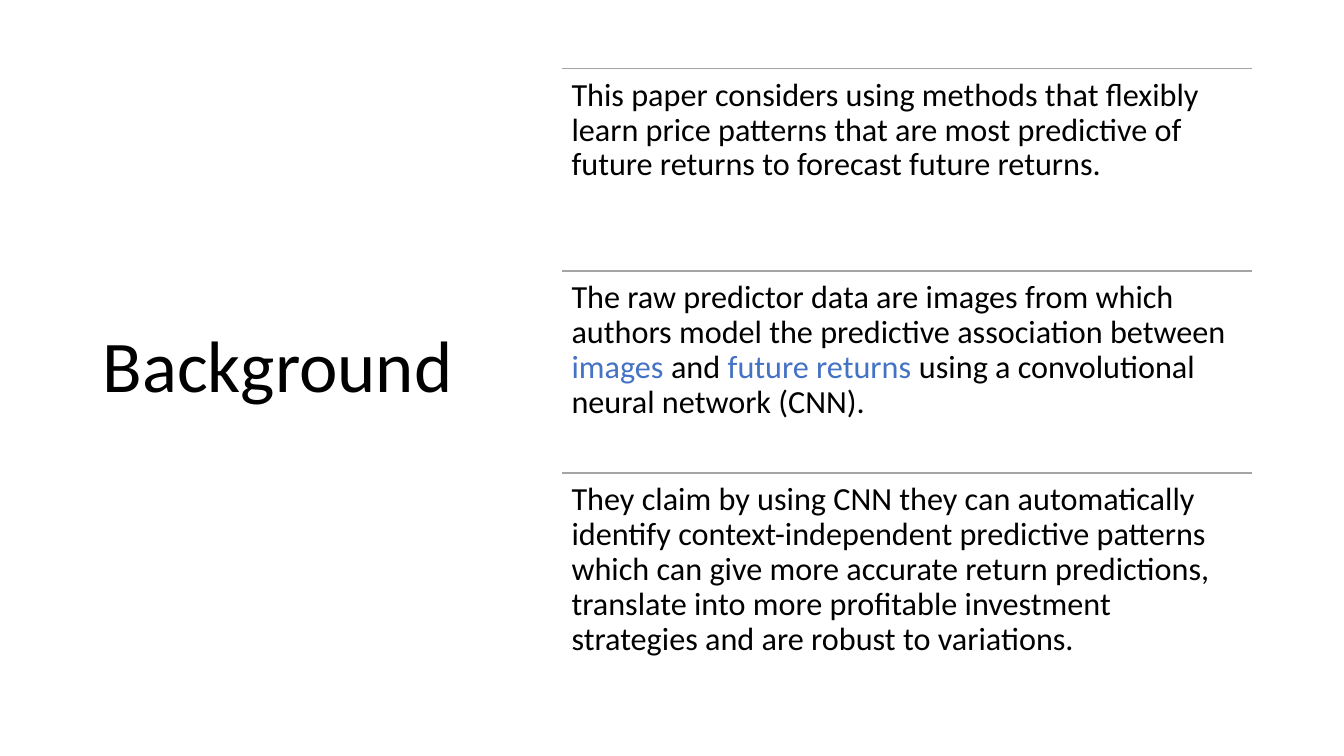
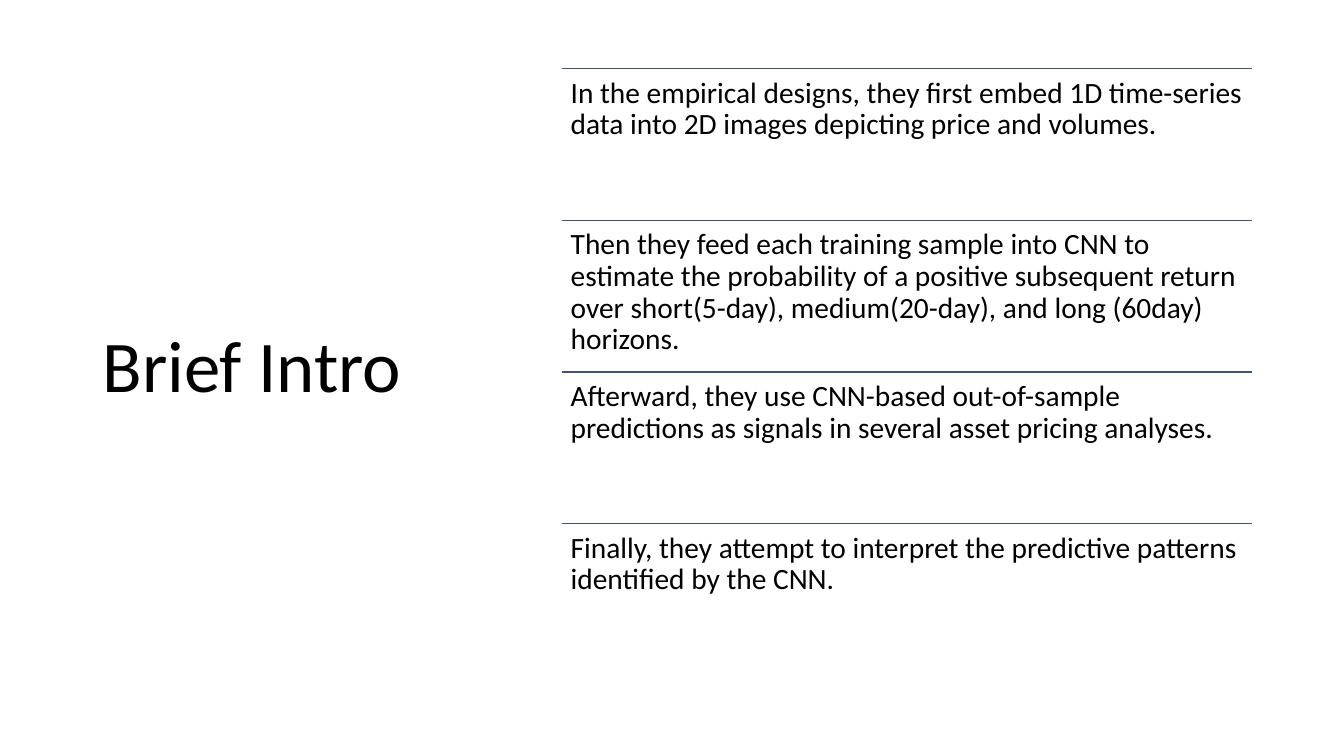
from lxml import etree
from pptx import Presentation
from pptx import util as u
from pptx.dml.color import RGBColor
from pptx.enum import shapes, text
from pptx.oxml.ns import qn

BLACK = RGBColor(0x00, 0x00, 0x00)
BLUE = RGBColor(0x44, 0x72, 0xC4)
GRAY = RGBColor(0xA5, 0xA5, 0xA5)
SLATE = RGBColor(0x44, 0x54, 0x6A)
FONT = "Calibri"

prs = Presentation()
prs.slide_width, prs.slide_height = u.Inches(13.33), u.Inches(7.5)

TITLE_BOX = [u.Inches(n) for n in (0.92, 0.61, 3.83, 6.09)]
LEFT, TOP, WIDTH, HEIGHT = [u.Inches(n) for n in (5.57, 0.68, 6.85, 6.02)]

# Each row is a list of (words, colour) runs.
SLIDES = [
    {"title": "Background", "rule": GRAY, "size": 23, "inset": 0.1, "rows": [
        [("This paper considers using methods that flexibly learn price patterns that "
          "are most predictive of future returns to forecast future returns.", BLACK)],
        [("The raw predictor data are images from which authors model the predictive "
          "association between ", BLACK),
         ("images", BLUE),
         (" and ", BLACK),
         ("future returns", BLUE),
         (" using a convolutional neural network (CNN).", BLACK)],
        [("They claim by using CNN they can automatically identify context-independent "
          "predictive patterns which can give more accurate return predictions, translate "
          "into more profitable investment strategies and are robust to variations.", BLACK)],
    ]},
    {"title": "Brief Intro", "rule": SLATE, "size": 21, "inset": 0.09, "rows": [
        [("In the empirical designs, they first embed 1D time-series data into 2D images "
          "depicting price and volumes.", BLACK)],
        [("Then they feed each training sample into CNN to estimate the probability of a "
          "positive subsequent return over short(5-day), medium(20-day), and long (60day) "
          "horizons.", BLACK)],
        [("Afterward, they use CNN-based out-of-sample predictions as signals in several "
          "asset pricing analyses.", BLACK)],
        [("Finally, they attempt to interpret the predictive patterns identified by the "
          "CNN.", BLACK)],
    ]},
]


def add_text(s, box, runs, size, frame):
    tf = s.shapes.add_textbox(*box).text_frame
    for name, value in {"word_wrap": True, **frame}.items():
        setattr(tf, name, value)
    p = tf.paragraphs[0]
    p.line_spacing = 0.9
    for words, color in runs:
        r = p.add_run()
        r.text = words
        for name, value in {"name": FONT, "size": u.Pt(size)}.items():
            setattr(r.font, name, value)
        r.font.color.rgb = color


def add_rule(s, y, color):
    line = s.shapes.add_connector(shapes.MSO_CONNECTOR.STRAIGHT, LEFT, y, LEFT + WIDTH, y)
    line.line.color.rgb = color
    line.line.width = u.Pt(1)
    etree.SubElement(line._element.spPr, qn("a:effectLst"))


for content in SLIDES:
    s = prs.slides.add_slide(prs.slide_layouts[6])
    add_text(s, TITLE_BOX, [(content["title"], BLACK)], 52,
             {"vertical_anchor": text.MSO_ANCHOR.MIDDLE})
    row_h = HEIGHT // len(content["rows"])
    insets = {f"margin_{side}": u.Inches(content["inset"])
              for side in ("left", "top", "right", "bottom")}
    for i, runs in enumerate(content["rows"]):
        y = TOP + i * row_h
        add_rule(s, y, content["rule"])
        add_text(s, (LEFT, y, WIDTH, row_h), runs, content["size"], insets)

prs.save("out.pptx")
